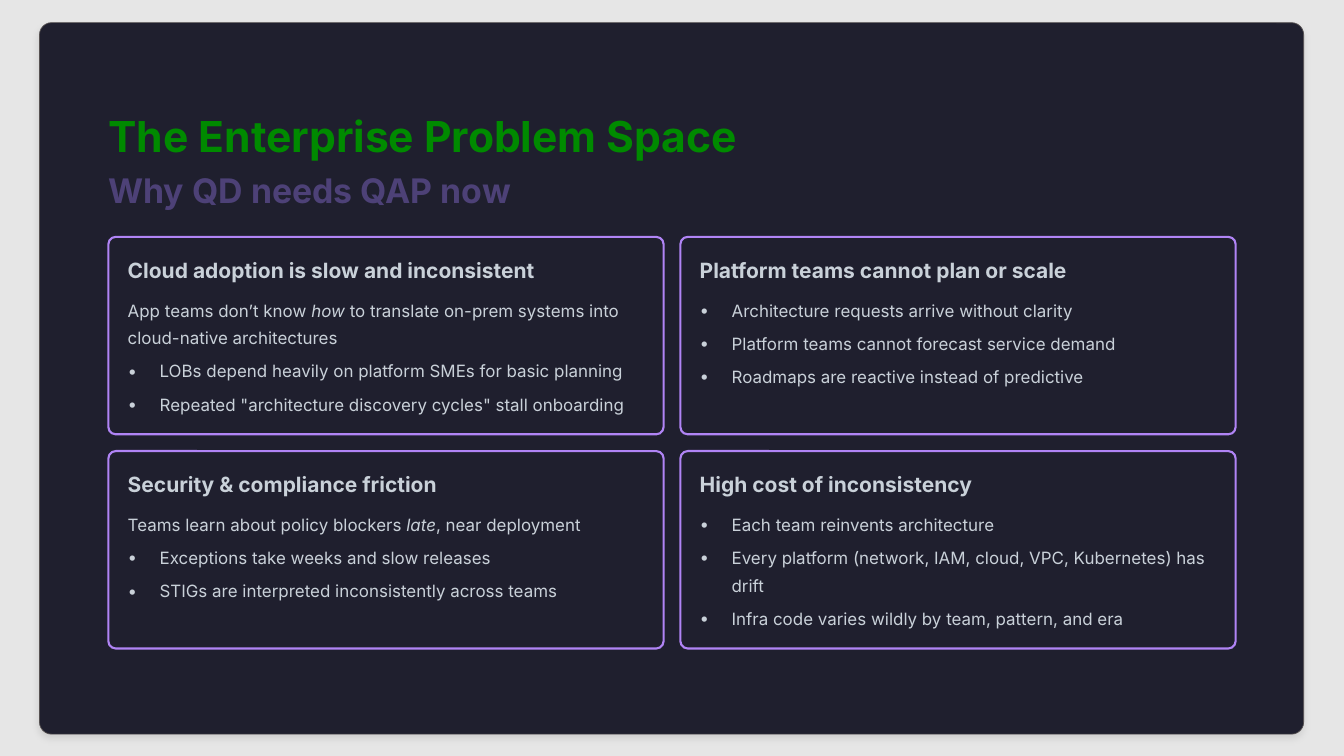
"""Builds a slide with four cards on enterprise cloud problems."""
from lxml import etree
from pptx import Presentation
from pptx.dml.color import RGBColor
from pptx.enum.shapes import MSO_SHAPE
from pptx.oxml.ns import qn
from pptx.util import Inches, Pt

ROUNDED = MSO_SHAPE.ROUNDED_RECTANGLE
FONT = "Inter"
COLORS = {
    "backdrop": "E6E6E6",
    "panel": "1F1F2E",
    "panel_line": "565151",
    "card_line": "B084F5",
    "title": "008A00",
    "subtitle": "4D4177",
    "text": "C9D1D9",
    "shadow": "000000",
}
STYLES = {
    "title": {"color": "title", "line": 45.5, "font": {"size": Pt(36.5), "bold": True}},
    "subtitle": {"color": "subtitle", "line": 36.5, "font": {"size": Pt(29), "bold": True}},
    "heading": {"color": "text", "line": 22.5, "font": {"size": Pt(18), "bold": True}},
    "body": {"color": "text", "line": 23.5, "font": {"size": Pt(14.5), "bold": False}},
}
CARD_LEFT, CARD_TOP = 1.29, 2.82
CARD_WIDTH, CARD_HEIGHT = 6.61, 2.35
CARD_GAP, CARD_PADDING = 0.2, 0.23
BULLET_INDENT = Inches(0.38)
CARDS = [
    ("Cloud adoption is slow and inconsistent", [
        "App teams don’t know *how* to translate on-prem systems into cloud-native architectures",
        "• LOBs depend heavily on platform SMEs for basic planning",
        '• Repeated "architecture discovery cycles" stall onboarding',
    ]),
    ("Platform teams cannot plan or scale", [
        "• Architecture requests arrive without clarity",
        "• Platform teams cannot forecast service demand",
        "• Roadmaps are reactive instead of predictive",
    ]),
    ("Security & compliance friction", [
        "Teams learn about policy blockers *late*, near deployment",
        "• Exceptions take weeks and slow releases",
        "• STIGs are interpreted inconsistently across teams",
    ]),
    ("High cost of inconsistency", [
        "• Each team reinvents architecture",
        "• Every platform (network, IAM, cloud, VPC, Kubernetes) has drift",
        "• Infra code varies wildly by team, pattern, and era",
    ]),
]


def color(name):
    """Return the named colour."""
    return RGBColor.from_string(COLORS[name])


def add_box(slide, left, top, width, height, corner, line, line_width):
    """Add a dark rounded rectangle with an outline."""
    shape = slide.shapes.add_shape(
        ROUNDED, Inches(left), Inches(top), Inches(width), Inches(height))
    shape.adjustments[0] = corner
    shape.shadow.inherit = False
    shape.fill.solid()
    shape.fill.fore_color.rgb = color("panel")
    shape.line.color.rgb = color(line)
    shape.line.width = Pt(line_width)
    return shape


def add_shadow(shape):
    """Give a shape a faint shadow below it."""
    effects = shape._element.spPr.find(qn("a:effectLst"))
    shadow = etree.SubElement(
        effects, qn("a:outerShdw"), blurRad=str(Pt(5.5)), dist=str(Pt(3.6)),
        dir="5400000", algn="ctr", rotWithShape="0")
    shade = etree.SubElement(shadow, qn("a:srgbClr"), val=COLORS["shadow"])
    etree.SubElement(shade, qn("a:alpha"), val="10000")


def add_bullet(paragraph):
    """Give a paragraph a round bullet and a hanging indent."""
    properties = paragraph._p.get_or_add_pPr()
    properties.set("marL", str(BULLET_INDENT))
    properties.set("indent", str(-BULLET_INDENT))
    etree.SubElement(properties, qn("a:buFont"), typeface=FONT)
    etree.SubElement(properties, qn("a:buChar"), char="•")


def add_text(slide, left, top, width, height, lines, style_name):
    """Add a text box; asterisks mark italics and a leading dot a bullet."""
    style = STYLES[style_name]
    box = slide.shapes.add_textbox(
        Inches(left), Inches(top), Inches(width), Inches(height))
    frame = box.text_frame
    frame.word_wrap = True
    for side in ("left", "top", "right", "bottom"):
        setattr(frame, f"margin_{side}", 0)
    for index, line in enumerate(lines):
        paragraph = frame.add_paragraph() if index else frame.paragraphs[0]
        paragraph.line_spacing = Pt(style["line"])
        if index:
            paragraph.space_before = Pt(5)
        if line.startswith("• "):
            add_bullet(paragraph)
        for part, text in enumerate(line.removeprefix("• ").split("*")):
            run = paragraph.add_run()
            run.text = text
            run.font.color.rgb = color(style["color"])
            formats = {"name": FONT, "italic": part % 2 == 1, **style["font"]}
            for name, value in formats.items():
                setattr(run.font, name, value)


def add_card(slide, left, top, heading, lines):
    """Add one outlined card with its heading and points."""
    add_box(slide, left, top, CARD_WIDTH, CARD_HEIGHT, 0.037, "card_line", 1.8)
    text_left = left + CARD_PADDING
    text_width = CARD_WIDTH - 2 * CARD_PADDING
    add_text(slide, text_left, top + 0.23, text_width, 0.32, [heading], "heading")
    add_text(slide, text_left, top + 0.67, text_width, 1.45, lines, "body")


def main():
    """Build and save the slide."""
    presentation = Presentation()
    presentation.slide_width = Inches(16)
    presentation.slide_height = Inches(9)
    slide = presentation.slides.add_slide(presentation.slide_layouts[6])
    slide.background.fill.solid()
    slide.background.fill.fore_color.rgb = color("backdrop")
    panel = add_box(slide, 0.47, 0.27, 15.05, 8.47, 0.017, "panel_line", 0.6)
    add_shadow(panel)
    add_text(slide, CARD_LEFT, 1.28, 13.42, 0.64, ["The Enterprise Problem Space"], "title")
    add_text(slide, CARD_LEFT, 2, 13.42, 0.51, ["Why QD needs QAP now"], "subtitle")
    for index, (heading, lines) in enumerate(CARDS):
        row, column = divmod(index, 2)
        left = CARD_LEFT + column * (CARD_WIDTH + CARD_GAP)
        top = CARD_TOP + row * (CARD_HEIGHT + CARD_GAP)
        add_card(slide, left, top, heading, lines)
    presentation.save("out.pptx")


if __name__ == "__main__":
    main()
